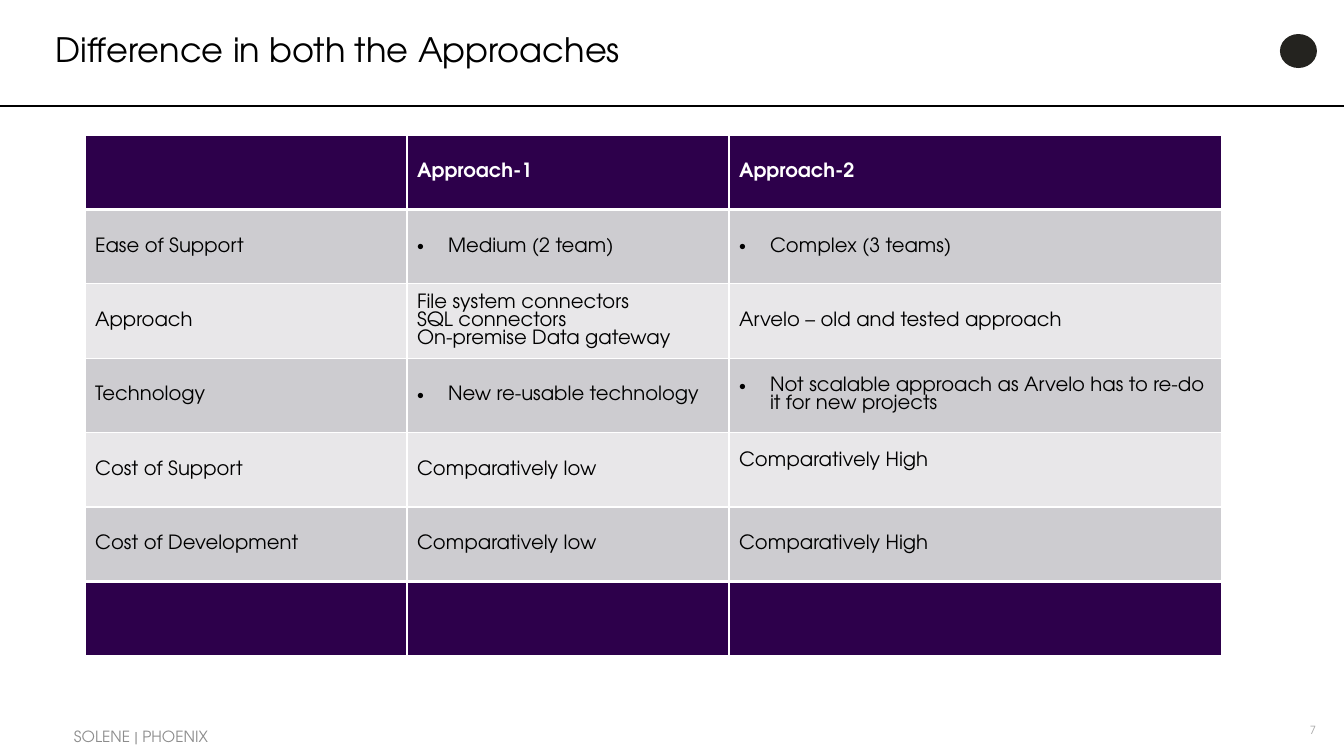
from dataclasses import dataclass

from lxml.etree import SubElement
from pptx import Presentation
from pptx.dml.color import RGBColor
from pptx.enum.shapes import MSO_CONNECTOR as Connector, MSO_SHAPE as Shape
from pptx.enum.text import MSO_ANCHOR as Anchor, PP_ALIGN as Align
from pptx.oxml import parse_xml
from pptx.oxml.ns import nsdecls, qn
from pptx.slide import Slide
from pptx.table import Table, _Cell as Cell
from pptx.text.text import TextFrame
from pptx.util import Emu, Pt

SLIDE_WIDTH, SLIDE_HEIGHT = 1344, 756
EMU_PER_PX = 12192000 / SLIDE_WIDTH
FONT = "TeX Gyre Adventor"

BLACK = RGBColor(0x00, 0x00, 0x00)
WHITE = RGBColor(0xFF, 0xFF, 0xFF)
PURPLE = RGBColor(0x2D, 0x00, 0x4B)
DARK_BAND = RGBColor(0xCD, 0xCC, 0xD0)
LIGHT_BAND = RGBColor(0xE8, 0xE7, 0xE9)
EMBLEM_INK = RGBColor(0x24, 0x23, 0x1F)
FOOTER_GREY = RGBColor(0x8C, 0x8C, 0x8C)
NUMBER_GREY = RGBColor(0xA6, 0xA6, 0xA6)

TABLE_LEFT, TABLE_TOP, TABLE_HEIGHT = 85, 135, 521
COLUMN_WIDTHS = (322, 322, 493)
BULLET_INDENT = 31
CELL_MARGIN = 1
THIN, THICK = 1, 3


@dataclass(frozen=True)
class Entry:
    """Content of one table cell."""

    text: str = ""
    bulleted: bool = False
    lift: int = 0


@dataclass(frozen=True)
class Label:
    """A free text on the slide with its box in px."""

    text: str
    box: tuple[int, int, int, int]
    size: int
    color: RGBColor
    inset: bool = True
    wrap: bool = True
    align: Align = Align.LEFT
    spacing: float = 1.0


LABELS = (
    Label("7", (1297, 724, 19, 13), 8, NUMBER_GREY, inset=False, wrap=False, align=Align.RIGHT),
    Label("SOLENE | PHOENIX", (64, 716, 428, 40), 11, FOOTER_GREY),
    Label("Difference in both the Approaches", (46, 0, 1210, 103), 24, BLACK, spacing=0.9),
)

COMPARISON = (
    (Entry(), Entry("Approach-1"), Entry("Approach-2")),
    (Entry("Ease of Support"), Entry("Medium (2 team)", True), Entry("Complex (3 teams)", True)),
    (
        Entry("Approach"),
        Entry("File system connectors\nSQL connectors\nOn-premise Data gateway"),
        Entry("Arvelo – old and tested approach"),
    ),
    (
        Entry("Technology"),
        Entry("New re-usable technology", True),
        Entry("Not scalable approach as Arvelo has to re-do it for new projects", True),
    ),
    (Entry("Cost of Support"), Entry("Comparatively low"), Entry("Comparatively High", lift=18)),
    (Entry("Cost of Development"), Entry("Comparatively low"), Entry("Comparatively High")),
    (Entry(), Entry(), Entry()),
)


def px(length: float) -> Emu:
    """Turn px into EMU."""
    return Emu(round(length * EMU_PER_PX))


def write_text(
    frame: TextFrame,
    text: str,
    *,
    size: int,
    color: RGBColor,
    bold: bool = False,
    align: Align = Align.LEFT,
    spacing: float = 1.0,
    bulleted: bool = False,
) -> None:
    """Fill a frame with one formatted paragraph per line of text."""
    frame.text = text
    for paragraph in frame.paragraphs:
        paragraph.alignment = align
        paragraph.line_spacing = spacing
        for run in paragraph.runs:
            run.font.name = FONT
            run.font.size = Pt(size)
            run.font.bold = bold
            run.font.color.rgb = color
        if bulleted:
            properties = paragraph._p.get_or_add_pPr()
            properties.set("marL", str(px(BULLET_INDENT)))
            properties.set("indent", str(-px(BULLET_INDENT)))
            SubElement(properties, qn("a:buFont"), typeface="Arial")
            SubElement(properties, qn("a:buChar"), char="•")


def add_label(slide: Slide, label: Label) -> None:
    """Place a label on the slide."""
    frame = slide.shapes.add_textbox(*map(px, label.box)).text_frame
    frame.word_wrap = label.wrap
    frame.vertical_anchor = Anchor.MIDDLE
    if not label.inset:
        frame.margin_left = frame.margin_top = frame.margin_right = frame.margin_bottom = 0
    write_text(
        frame, label.text, size=label.size, color=label.color, align=label.align, spacing=label.spacing
    )


def add_emblem(slide: Slide) -> None:
    """Place a plain dark oval in the top right corner."""
    emblem = slide.shapes.add_shape(Shape.OVAL, px(1280), px(34), px(37), px(34))
    emblem.shadow.inherit = False
    emblem.fill.solid()
    emblem.fill.fore_color.rgb = EMBLEM_INK
    emblem.line.fill.background()


def add_title_rule(slide: Slide) -> None:
    """Draw the line under the title across the slide."""
    rule = slide.shapes.add_connector(Connector.STRAIGHT, 0, px(106), px(SLIDE_WIDTH), px(106))
    rule.line.color.rgb = BLACK
    rule.line.width = Pt(1.5)
    SubElement(rule._element.spPr, qn("a:effectLst"))


def set_borders(cell: Cell, top: int, bottom: int) -> None:
    """Give a cell white borders with widths in points."""
    properties = cell._tc.get_or_add_tcPr()
    widths = {"lnL": THIN, "lnR": THIN, "lnT": top, "lnB": bottom}
    for position, (side, width) in enumerate(widths.items()):
        border = parse_xml(
            f'<a:{side} {nsdecls("a")} w="{Pt(width)}"><a:solidFill>'
            f'<a:srgbClr val="{WHITE}"/></a:solidFill></a:{side}>'
        )
        properties.insert(position, border)


def fill_row(table: Table, row: int, entries: tuple[Entry, ...]) -> None:
    """Write and colour one row of the comparison."""
    last = len(COMPARISON) - 1
    is_edge = row in (0, last)
    band = PURPLE if is_edge else DARK_BAND if row % 2 else LIGHT_BAND
    for column, entry in enumerate(entries):
        cell = table.cell(row, column)
        cell.vertical_anchor = Anchor.MIDDLE
        cell.margin_top = px(CELL_MARGIN)
        cell.margin_bottom = px(CELL_MARGIN + entry.lift)
        cell.fill.solid()
        cell.fill.fore_color.rgb = band
        set_borders(
            cell,
            top=THICK if row in (1, last) else THIN,
            bottom=THICK if row in (0, last - 1) else THIN,
        )
        write_text(
            cell.text_frame,
            entry.text,
            size=14,
            color=WHITE if is_edge else BLACK,
            bold=is_edge,
            bulleted=entry.bulleted,
        )


def add_comparison(slide: Slide) -> None:
    """Build the table that compares both approaches."""
    box = map(px, (TABLE_LEFT, TABLE_TOP, sum(COLUMN_WIDTHS), TABLE_HEIGHT))
    table = slide.shapes.add_table(len(COMPARISON), len(COLUMN_WIDTHS), *box).table
    table.first_row = table.horz_banding = False
    for column, width in zip(table.columns, COLUMN_WIDTHS):
        column.width = px(width)
    for row, entries in enumerate(COMPARISON):
        fill_row(table, row, entries)


def main() -> None:
    """Build the slide and save it."""
    deck = Presentation()
    deck.slide_width, deck.slide_height = px(SLIDE_WIDTH), px(SLIDE_HEIGHT)
    slide = deck.slides.add_slide(deck.slide_layouts[6])
    add_emblem(slide)
    add_title_rule(slide)
    for label in LABELS:
        add_label(slide, label)
    add_comparison(slide)
    deck.save("out.pptx")


if __name__ == "__main__":
    main()
